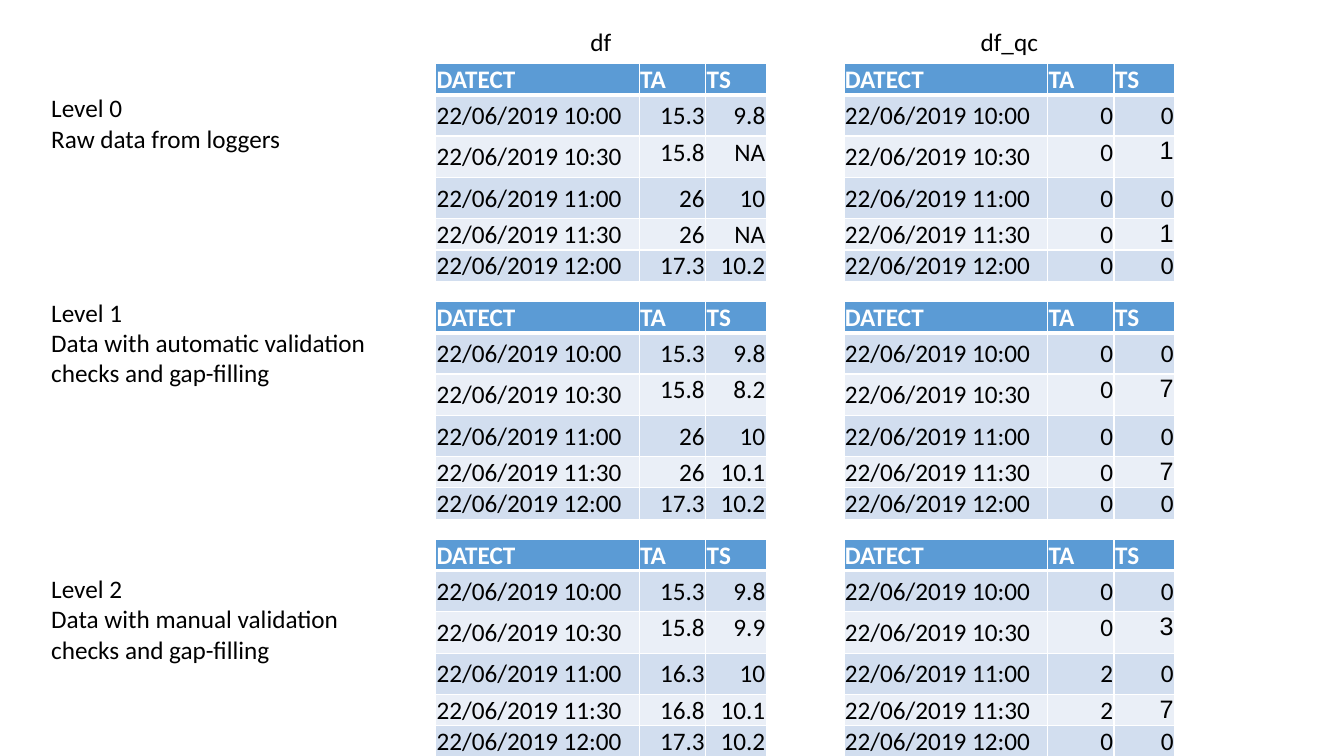
from lxml.etree import SubElement
from pptx import Presentation
from pptx.dml.color import RGBColor
from pptx.enum.text import MSO_ANCHOR, MSO_AUTO_SIZE, PP_ALIGN
from pptx.oxml.ns import qn
from pptx.util import Inches, Pt

THEME = {
    "font": "Calibri", "flag_font": "Arial", "size": Pt(18),
    "ink": "000000", "paper": "FFFFFF",
    "header": "5B9BD5", "bands": ("D2DEEF", "EAEFF7"),
    "rule": 1, "header_rule": 3,
}


def style_text(frame, color, align=PP_ALIGN.LEFT, font=THEME["font"], bold=False):
    for paragraph in frame.paragraphs:
        paragraph.alignment = align
        for run in paragraph.runs:
            run.font.name = font
            run.font.size = THEME["size"]
            run.font.bold = bold
            run.font.color.rgb = RGBColor.from_string(color)


def add_label(text, left, top, width, height, wrap, align):
    label = slide.shapes.add_textbox(Inches(left), Inches(top), Inches(width), Inches(height))
    label.text_frame.text = text
    label.text_frame.word_wrap = wrap
    label.text_frame.auto_size = MSO_AUTO_SIZE.SHAPE_TO_FIT_TEXT
    style_text(label.text_frame, THEME["ink"], align)


prs = Presentation()
prs.slide_width, prs.slide_height = Inches(13.33), Inches(7.5)
slide = prs.slides.add_slide(prs.slide_layouts[6])

levels = [
    ("Level 0\nRaw data from loggers", 0.87, 2.5, 0.71),
    ("Level 1\nData with automatic validation\nchecks and gap-filling", 2.9, 3.41, 1.01),
    ("Level 2\nData with manual validation\nchecks and gap-filling", 5.64, 3.14, 1.01),
]
for text, top, width, height in levels:
    add_label(text, 0.41, top, width, height, False, PP_ALIGN.LEFT)

headings = ["DATECT", "TA", "TS"]
times = ["10:00", "10:30", "11:00", "11:30", "12:00"]
frames = {
    "df": [
        (["15.3", "15.8", "26", "26", "17.3"], ["9.8", "NA", "10", "NA", "10.2"]),
        (["15.3", "15.8", "26", "26", "17.3"], ["9.8", "8.2", "10", "10.1", "10.2"]),
        (["15.3", "15.8", "16.3", "16.8", "17.3"], ["9.8", "9.9", "10", "10.1", "10.2"]),
    ],
    "df_qc": [
        ("00000", "01010"),
        ("00000", "07070"),
        ("00220", "03070"),
    ],
}
first_left, first_top = 4.32, 0.63
pitch_x, pitch_y = 4.05, 2.36
column_widths = [2.02, 0.66, 0.6]
row_heights = [0.3, 0.41, 0.41, 0.41, 0.3, 0.3]
title_width = 1.32

for frame_index, (frame_name, frame_levels) in enumerate(frames.items()):
    left = first_left + frame_index * pitch_x
    for level, (air, soil) in enumerate(frame_levels):
        records = [headings] + [
            (f"22/06/2019 {time}", ta, ts) for time, ta, ts in zip(times, air, soil)
        ]
        readings = slide.shapes.add_table(
            len(records), len(headings), Inches(left), Inches(first_top + level * pitch_y),
            Inches(sum(column_widths)), Inches(sum(row_heights))).table
        for column, width in zip(readings.columns, column_widths):
            column.width = Inches(width)
        for row, height in zip(readings.rows, row_heights):
            row.height = Inches(height)

        for r, record in enumerate(records):
            is_header, is_gap_row = r == 0, r in (2, 4)
            fill = THEME["header"] if is_header else THEME["bands"][(r - 1) % 2]
            for c, value in enumerate(record):
                cell = readings.cell(r, c)
                cell.text_frame.text = value
                cell.margin_left = cell.margin_right = cell.margin_top = Inches(0.01)
                cell.margin_bottom = 0
                cell.vertical_anchor = MSO_ANCHOR.TOP if is_gap_row and c else MSO_ANCHOR.MIDDLE
                is_flag = frame_name == "df_qc" and is_gap_row and c == 2
                style_text(
                    cell.text_frame,
                    THEME["paper"] if is_header else THEME["ink"],
                    PP_ALIGN.RIGHT if c and not is_header else PP_ALIGN.LEFT,
                    THEME["flag_font"] if is_flag else THEME["font"],
                    is_header)

                properties = cell._tc.get_or_add_tcPr()
                for side in ("L", "R", "T", "B"):
                    under_header = (r, side) in ((0, "B"), (1, "T"))
                    weight = THEME["header_rule"] if under_header else THEME["rule"]
                    border = SubElement(properties, qn(f"a:ln{side}"), w=str(Pt(weight)))
                    SubElement(SubElement(border, qn("a:solidFill")), qn("a:srgbClr"), val=THEME["paper"])
                cell.fill.solid()
                cell.fill.fore_color.rgb = RGBColor.from_string(fill)

    title_left = left + (sum(column_widths) - title_width) / 2
    add_label(frame_name, title_left, 0.21, title_width, 0.4, True, PP_ALIGN.CENTER)

prs.save("out.pptx")
